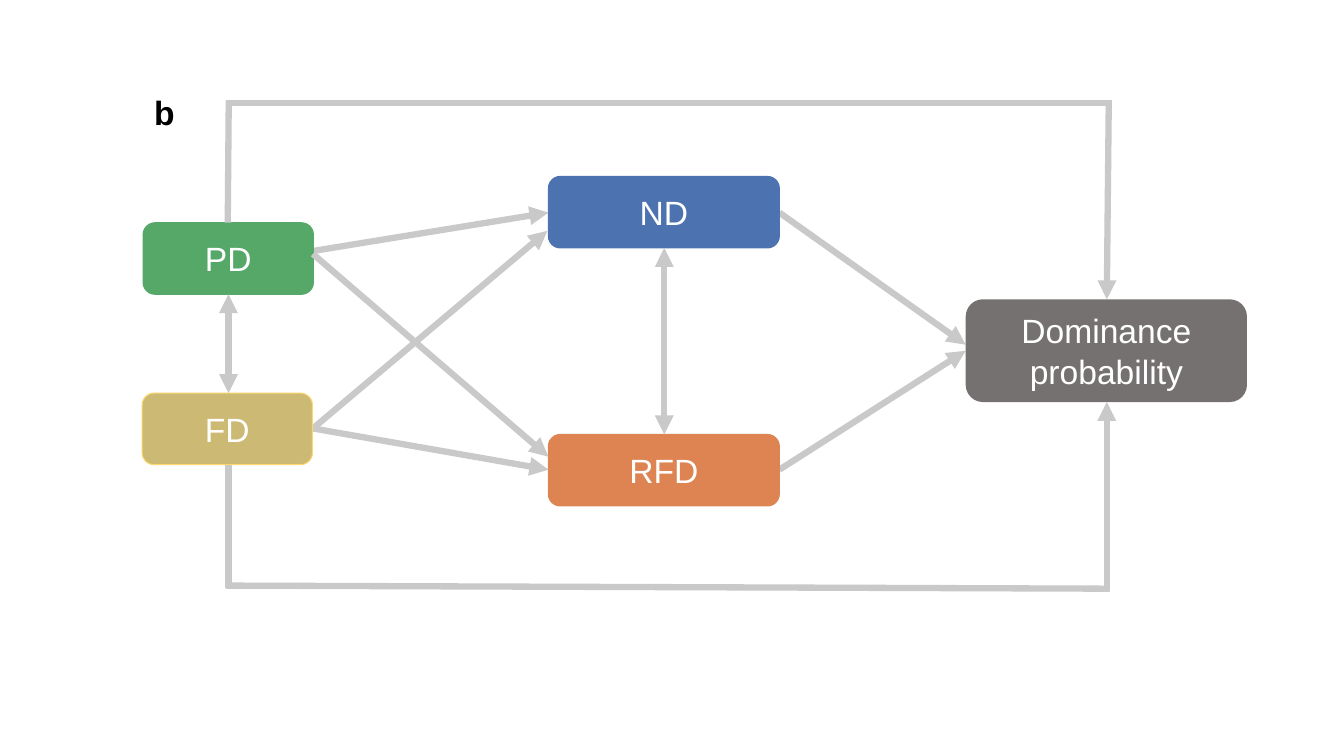
from lxml import etree
from pptx import Presentation
from pptx.dml.color import RGBColor
from pptx.enum.shapes import MSO_CONNECTOR, MSO_SHAPE
from pptx.enum.text import MSO_ANCHOR, PP_ALIGN
from pptx.oxml.ns import qn
from pptx.util import Pt

ROUNDED = MSO_SHAPE.ROUNDED_RECTANGLE
STRAIGHT = MSO_CONNECTOR.STRAIGHT
MIDDLE = MSO_ANCHOR.MIDDLE
CENTER, LEFT = PP_ALIGN.CENTER, PP_ALIGN.LEFT

BLANK_LAYOUT = 6
WHITE, BLACK, ARROW_GREY = "FFFFFF", "000000", "C9C9C9"

# Column edges and box sizes, in points
TRAIT_WIDTH, NICHE_WIDTH, BOX_HEIGHT = 121.7, 165, 51.1
TRAIT_RIGHT, NICHE_LEFT, NICHE_RIGHT = 223.5, 391.7, 556.7
PD_TOP, FD_TOP, ND_TOP, RFD_TOP = 159.1, 280.8, 126, 310.3
OUTCOME_LEFT, OUTCOME_TOP = 689.8, 213.8
OUTCOME_WIDTH, OUTCOME_HEIGHT = 200.9, 73.4
TRAIT_X, NICHE_X, OUTCOME_X = 163.2, 474.5, 790.6

# Text, left, top, width, height, fill, outline
BOXES = [
    ("PD", 102.2, PD_TOP, TRAIT_WIDTH, BOX_HEIGHT, "55A868", "55A868"),
    ("FD", 101.5, FD_TOP, TRAIT_WIDTH, BOX_HEIGHT, "CCB974", "FBD76C"),
    ("ND", NICHE_LEFT, ND_TOP, NICHE_WIDTH, BOX_HEIGHT, "4C72B0", "4C72B0"),
    ("RFD", NICHE_LEFT, RFD_TOP, NICHE_WIDTH, BOX_HEIGHT, "DD8452", "DD8452"),
    ("Dominance\nprobability", OUTCOME_LEFT, OUTCOME_TOP,
     OUTCOME_WIDTH, OUTCOME_HEIGHT, "767171", None),
]

# Start, end, arrowheads at (start, end)
NO_HEAD, END_HEAD, BOTH_HEADS = (), ("tailEnd",), ("headEnd", "tailEnd")
PATHS_BEHIND = [
    ((TRAIT_RIGHT, 306), (391, 164.9), END_HEAD),
    ((TRAIT_RIGHT, 306), (NICHE_LEFT, 335.5), END_HEAD),
    ((TRAIT_RIGHT, 179.3), (NICHE_LEFT, 151.9), END_HEAD),
    ((NICHE_RIGHT, 151.9), (OUTCOME_LEFT, 246.2), END_HEAD),
    ((NICHE_RIGHT, 335.5), (OUTCOME_LEFT, 250.6), END_HEAD),
]
PATHS_IN_FRONT = [
    # PD over the top to the outcome
    ((794.2, 73.4), (161.3, 73.4), NO_HEAD),
    ((792, 72), (OUTCOME_X, OUTCOME_TOP), END_HEAD),
    ((163.4, 72), (162.7, PD_TOP), NO_HEAD),
    # FD underneath to the outcome
    ((792.7, 420.5), (161.3, 418.3), NO_HEAD),
    ((OUTCOME_X, 421.9), (OUTCOME_X, OUTCOME_TOP + OUTCOME_HEIGHT), END_HEAD),
    ((TRAIT_X, 419.8), (TRAIT_X, FD_TOP + BOX_HEIGHT), NO_HEAD),
    # Correlations within a column
    ((NICHE_X, ND_TOP + BOX_HEIGHT), (NICHE_X, RFD_TOP), BOTH_HEADS),
    ((TRAIT_X, PD_TOP + BOX_HEIGHT), (TRAIT_X, FD_TOP), BOTH_HEADS),
    # PD to RFD
    ((TRAIT_RIGHT, 181.4), (NICHE_LEFT, 326.2), END_HEAD),
]


def color(hex_string):
    return RGBColor.from_string(hex_string)


def write_text(shape, text, text_color, alignment, bold=False):
    frame = shape.text_frame
    frame.word_wrap = True
    frame.text = text
    for paragraph in frame.paragraphs:
        paragraph.alignment = alignment
        paragraph.font.name = "Arial"
        paragraph.font.size = Pt(24)
        paragraph.font.bold = bold
        paragraph.font.color.rgb = color(text_color)


def add_box(slide, text, left, top, width, height, fill, outline):
    box = slide.shapes.add_shape(ROUNDED, Pt(left), Pt(top), Pt(width), Pt(height))
    box.shadow.inherit = False
    box.fill.solid()
    box.fill.fore_color.rgb = color(fill)
    if outline:
        box.line.color.rgb = color(outline)
        box.line.width = Pt(0.75)
    else:
        box.line.fill.background()
    box.text_frame.vertical_anchor = MIDDLE
    write_text(box, text, WHITE, CENTER)


def add_path(slide, start, end, heads):
    x1, y1, x2, y2 = (Pt(value) for value in start + end)
    path = slide.shapes.add_connector(STRAIGHT, x1, y1, x2, y2)
    path.line.color.rgb = color(ARROW_GREY)
    path.line.width = Pt(4.5)
    line = path.line._get_or_add_ln()
    for head in heads:
        etree.SubElement(line, qn("a:" + head), type="triangle")
    etree.SubElement(path._element.spPr, qn("a:effectLst"))


def add_panel_letter(slide, letter):
    label = slide.shapes.add_textbox(Pt(103), Pt(61.9), Pt(41.8), Pt(36))
    write_text(label, letter, BLACK, LEFT, bold=True)


def main():
    presentation = Presentation()
    presentation.slide_width = Pt(960)
    presentation.slide_height = Pt(540)
    slide = presentation.slides.add_slide(presentation.slide_layouts[BLANK_LAYOUT])

    for path in PATHS_BEHIND:
        add_path(slide, *path)
    for box in BOXES:
        add_box(slide, *box)
    for path in PATHS_IN_FRONT:
        add_path(slide, *path)
    add_panel_letter(slide, "b")

    presentation.save("out.pptx")


main()
